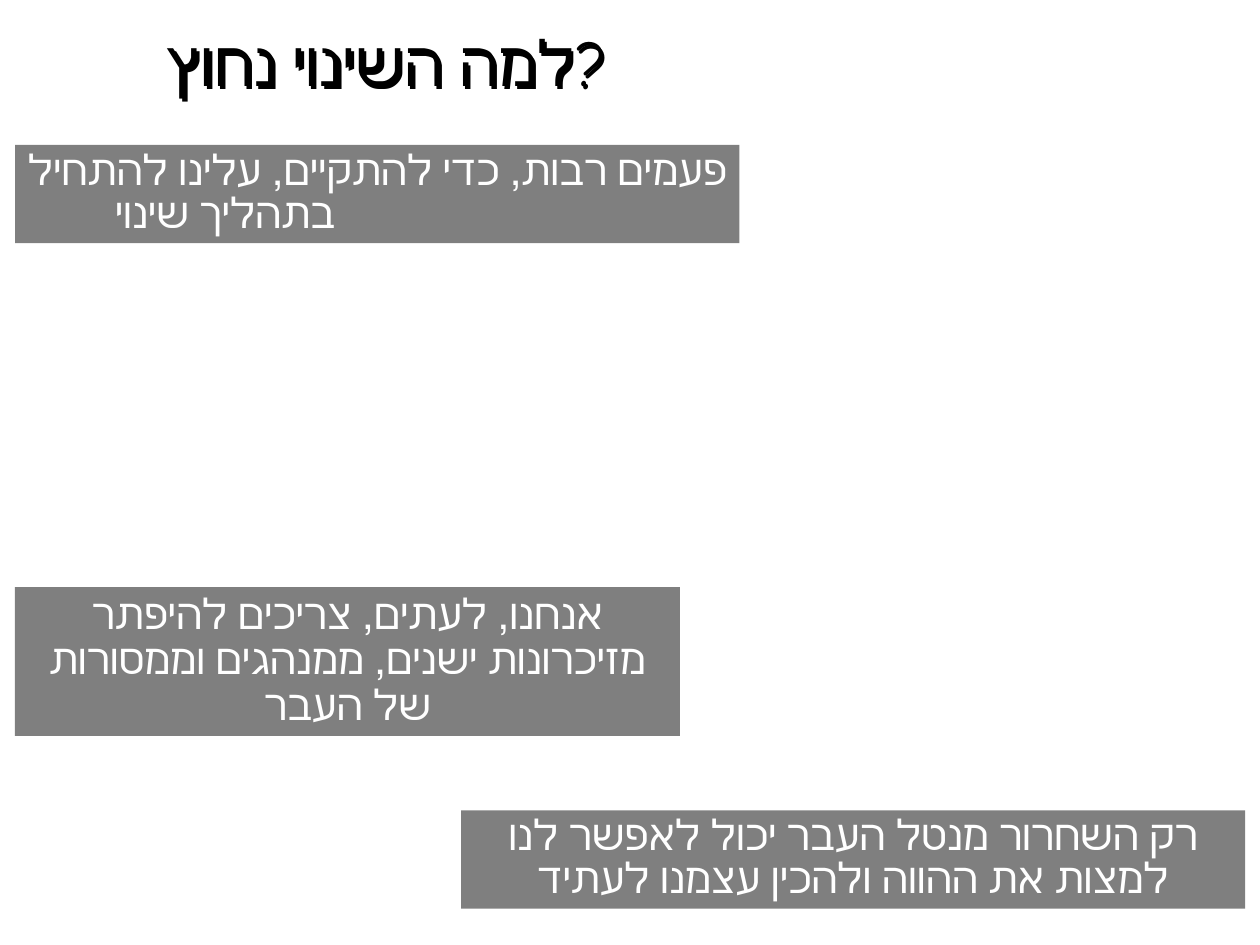
from lxml import etree
from pptx import Presentation
from pptx.dml.color import RGBColor
from pptx.enum import shapes, text
from pptx.oxml import ns
from pptx.util import Pt

COLORS = {"black": "000000", "white": "FFFFFF"}
FONT = "Comic Neue"
CENTER, LEFT = text.PP_ALIGN.CENTER, text.PP_ALIGN.LEFT


def add_line(paragraph, words, size, color, align=CENTER):
    paragraph.alignment = align
    run = paragraph.add_run()
    run.text = words
    run.font.size = Pt(size)
    run.font.name = FONT
    run.font.color.rgb = RGBColor.from_string(COLORS[color])


prs = Presentation()
prs.slide_width, prs.slide_height = Pt(720), Pt(540)
slide = prs.slides.add_slide(prs.slide_layouts[6])

# Title with a hard drop shadow on its letters
title = slide.shapes.add_textbox(Pt(83.5), Pt(10), Pt(275), Pt(50.4))
title.text_frame.word_wrap = False
add_line(title.text_frame.paragraphs[0], "למה השינוי נחוץ?", 36, "black")
effects = etree.SubElement(title._element.spPr, ns.qn("a:effectLst"))
title_shadow = etree.SubElement(
    effects, ns.qn("a:outerShdw"), dist="25400", dir="2700000", algn="ctr")
etree.SubElement(title_shadow, ns.qn("a:srgbClr"), val=COLORS["black"])

# Statements: left, top, width, height, line spacing, lines as (words, alignment, left margin)
statements = [
    (8.6, 82.8, 414, 56.2, 0.85, [
        ("פעמים רבות, כדי להתקיים, עלינו להתחיל", CENTER, 0),
        ("בתהליך שינוי", LEFT, 51)]),
    (8.6, 335.5, 380, 85, 0.9, [
        ("אנחנו, לעתים, צריכים להיפתר מזיכרונות ישנים, ממנהגים וממסורות של העבר", CENTER, 0)]),
    (263.5, 463, 448, 56.2, 0.85, [
        ("רק השחרור מנטל העבר יכול לאפשר לנו למצות את ההווה ולהכין עצמנו לעתיד", CENTER, 0)]),
]
for left, top, width, height, spacing, lines in statements:
    panel = slide.shapes.add_shape(
        shapes.MSO_SHAPE.RECTANGLE, Pt(left), Pt(top), Pt(width), Pt(height))
    panel.shadow.inherit = False
    panel.line.fill.background()
    panel.fill.solid()
    panel.fill.fore_color.rgb = RGBColor.from_string(COLORS["black"])
    fill_color = panel._element.spPr.find(ns.qn("a:solidFill"))[0]
    etree.SubElement(fill_color, ns.qn("a:alpha"), val="50000")

    frame = panel.text_frame
    frame.word_wrap = True
    frame.margin_left = frame.margin_right = Pt(6)
    frame.vertical_anchor = text.MSO_ANCHOR.TOP
    for index, (words, align, margin) in enumerate(lines):
        paragraph = frame.add_paragraph() if index else frame.paragraphs[0]
        paragraph.line_spacing = spacing
        if margin:
            paragraph._p.get_or_add_pPr().set("marL", str(Pt(margin)))
        add_line(paragraph, words, 24, "white", align)

prs.save("out.pptx")
